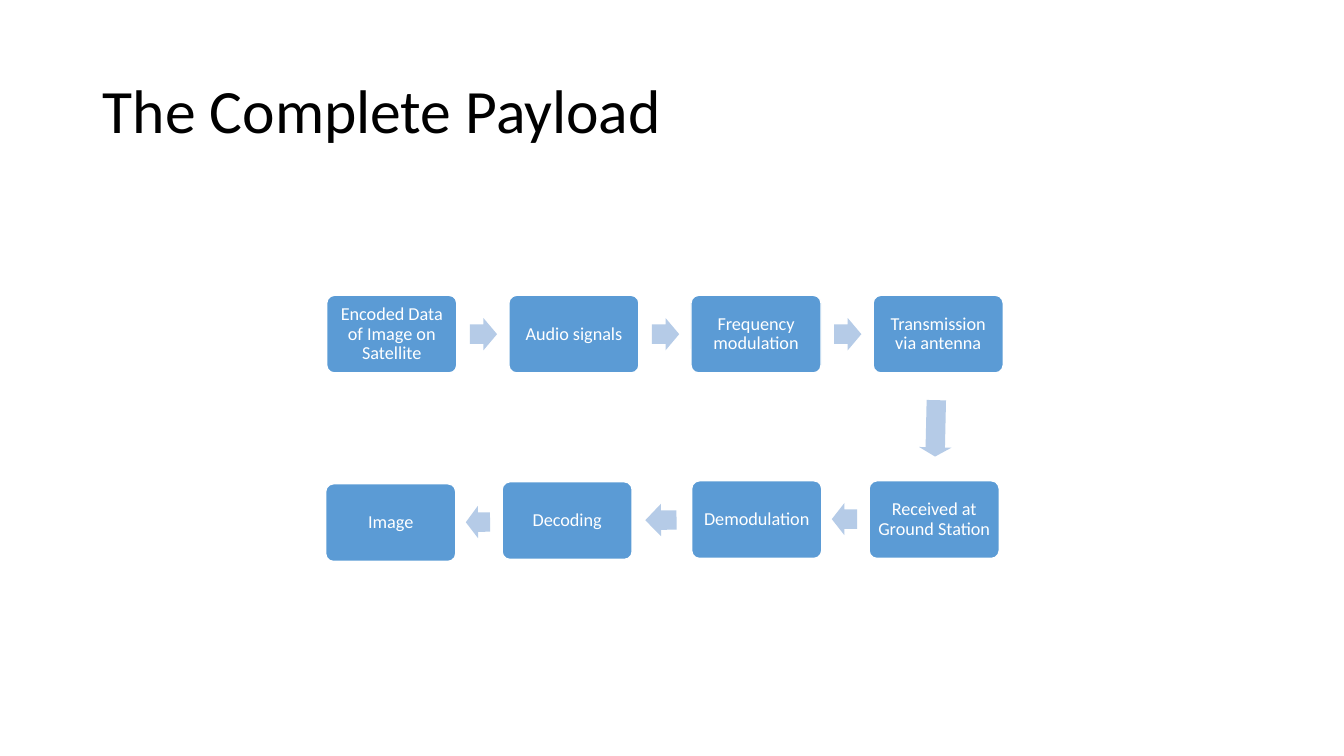
from pptx import Presentation
from pptx.dml.color import RGBColor
from pptx.enum.shapes import MSO_SHAPE
from pptx.enum.text import MSO_ANCHOR, PP_ALIGN
from pptx.util import Inches, Pt

TITLE = "The Complete Payload"
SEND = ["Encoded Data of Image on Satellite", "Audio signals",
        "Frequency modulation", "Transmission via antenna"]
# Receiving steps: text, left, top
RECEIVE = [("Received at Ground Station", 8.62, 4.77),
           ("Demodulation", 6.86, 4.77),
           ("Decoding", 4.98, 4.78),
           ("Image", 3.23, 4.8)]
# Arrows after the sending row: left, top, length, turn
TURNS = [(9, 4.09, 0.56, 91.3), (8.25, 4.99, 0.25, 180),
         (6.4, 5, 0.31, 179.5), (4.62, 5.02, 0.24, 179.5)]

FONT = "Calibri"
BLACK = RGBColor(0x00, 0x00, 0x00)
WHITE = RGBColor(0xFF, 0xFF, 0xFF)
BLUE = RGBColor(0x5B, 0x9B, 0xD5)
PALE = RGBColor(0xB5, 0xCB, 0xE7)

BOX_W, BOX_H = 1.29, 0.77
ROW_X, ROW_Y = 3.24, 2.93
STEP = (8.66 - ROW_X) / (len(SEND) - 1)
ARROW_H = 0.32


def write(frame, text, size, color, align):
    """Set one centred-height paragraph and format it."""
    frame.word_wrap = True
    frame.vertical_anchor = MSO_ANCHOR.MIDDLE
    frame.text = text
    para = frame.paragraphs[0]
    para.alignment = align
    para.line_spacing = 0.9
    font = para.runs[0].font
    font.name, font.size, font.color.rgb = FONT, Pt(size), color


def add_flat(kind, left, top, width, height, fill):
    """Add a filled shape without a shadow."""
    shape = slide.shapes.add_shape(
        kind, Inches(left), Inches(top), Inches(width), Inches(height))
    shape.shadow.inherit = False
    shape.fill.solid()
    shape.fill.fore_color.rgb = fill
    return shape


def add_box(text, left, top):
    """Add one step of the flow."""
    box = add_flat(MSO_SHAPE.ROUNDED_RECTANGLE, left, top, BOX_W, BOX_H, BLUE)
    box.adjustments[0] = 0.1
    box.line.color.rgb = WHITE
    box.line.width = Pt(1)
    frame = box.text_frame
    frame.margin_left = frame.margin_right = Inches(0.05)
    frame.margin_top = frame.margin_bottom = Inches(0.05)
    write(frame, text, 13, WHITE, PP_ALIGN.CENTER)


def add_arrow(left, top, length, turn=0):
    """Add a block arrow, turned clockwise by the given degrees."""
    arrow = add_flat(MSO_SHAPE.RIGHT_ARROW, left, top, length, ARROW_H, PALE)
    arrow.adjustments[0] = 0.6
    arrow.adjustments[1] = 0.5 * min(1, length / ARROW_H) / (length / ARROW_H) \
        if length > ARROW_H else 0.5
    arrow.line.fill.background()
    arrow.rotation = turn


deck = Presentation()
deck.slide_width, deck.slide_height = Inches(13.33), Inches(7.5)
slide = deck.slides.add_slide(deck.slide_layouts[5])

title = slide.shapes.title
title.left, title.top = Inches(0.92), Inches(0.4)
title.width, title.height = Inches(11.5), Inches(1.45)
write(title.text_frame, TITLE, 44, BLACK, PP_ALIGN.LEFT)

for i, text in enumerate(SEND):
    left = ROW_X + i * STEP
    add_box(text, left, ROW_Y)
    if i < len(SEND) - 1:
        add_arrow(left + 1.42, ROW_Y + (BOX_H - ARROW_H) / 2, 0.27)

for step, turn in zip(RECEIVE, TURNS):
    add_arrow(*turn)
    add_box(*step)

deck.save("out.pptx")
